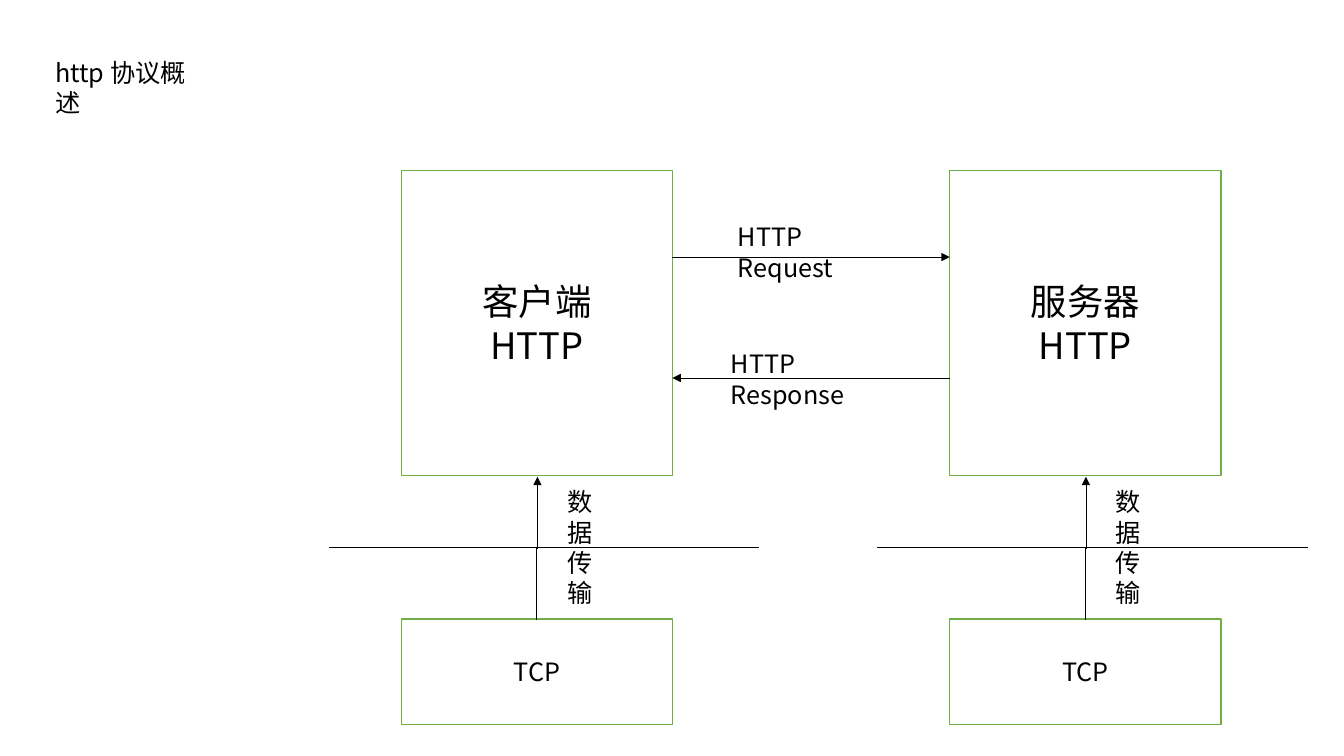
"""Build the HTTP protocol overview slide."""
from pptx import Presentation
from pptx.dml.color import RGBColor
from pptx.enum import shapes, text
from pptx.oxml import ns
from pptx.util import Inches, Pt
from lxml import etree

COLORS = {"ink": "000000", "fill": "FFFFFF", "border": "70AD47"}
FONT = "Noto Sans CJK SC"


class Deck:
    def __init__(self, prs):
        self.s = prs.slides.add_slide(prs.slide_layouts[6])

    def color(self, name):
        return RGBColor.from_string(COLORS[name])

    def set_text(self, tf, lines, size, align):
        tf.word_wrap = True
        tf.text = "\n".join(lines)
        for p in tf.paragraphs:
            p.alignment = align
            p.font.size = Pt(size)
            p.font.name = FONT
            p.font.color.rgb = self.color("ink")
            ea = etree.SubElement(p.font._element, ns.qn("a:ea"))
            ea.set("typeface", FONT)

    def label(self, words, x, y, w, h=0.4):
        sp = self.s.shapes.add_textbox(Inches(x), Inches(y), Inches(w), Inches(h))
        self.set_text(sp.text_frame, [words], 18, text.PP_ALIGN.LEFT)

    def box(self, lines, x, y, w, h, size):
        sp = self.s.shapes.add_shape(
            shapes.MSO_SHAPE.RECTANGLE, Inches(x), Inches(y), Inches(w), Inches(h))
        sp.shadow.inherit = False
        sp.fill.solid()
        sp.fill.fore_color.rgb = self.color("fill")
        sp.line.color.rgb = self.color("border")
        sp.line.width = Pt(1)
        sp.text_frame.vertical_anchor = text.MSO_ANCHOR.MIDDLE
        self.set_text(sp.text_frame, lines, size, text.PP_ALIGN.CENTER)

    def line(self, x1, y1, x2, y2, arrow=False, kind=shapes.MSO_CONNECTOR.STRAIGHT):
        c = self.s.shapes.add_connector(
            kind, Inches(x1), Inches(y1), Inches(x2), Inches(y2))
        c.line.color.rgb = self.color("ink")
        c.line.width = Pt(0.5)
        if arrow:
            tail = etree.SubElement(c.line._get_or_add_ln(), ns.qn("a:tailEnd"))
            tail.set("type", "triangle")
        etree.SubElement(c._element.spPr, ns.qn("a:effectLst"))
        return c

    def riser(self, x, y, length, jog=0.01):
        c = self.line(x + length / 2, y + jog / 2, x - length / 2, y - jog / 2,
                      True, shapes.MSO_CONNECTOR.ELBOW)
        c._element.spPr.find(ns.qn("a:xfrm")).set("rot", "5400000")

    def host(self, name, x, width=2.69):
        self.box([name, "HTTP"], x, 1.69, width, 3.03, 26)
        self.line(x - 0.72, 5.43, x + 3.55, 5.43)
        self.box(["TCP"], x, 6.14, width, 1.05, 18)
        self.label("数据传输", x + 1.55, 4.78, 0.47, 1.31)
        self.riser(x + width / 2, 5.44, 1.42)


prs = Presentation()
prs.slide_width, prs.slide_height = Inches(13.33), Inches(7.5)
deck = Deck(prs)
client, server, client_edge = 3.98, 9.42, 6.67
deck.label("http 协议概述", 0.45, 0.52, 1.73)
deck.host("客户端", client)
deck.host("服务器", server)
deck.line(server, 3.75, client_edge, 3.75, True)
deck.line(client_edge, 2.55, server, 2.55, True)
deck.label("HTTP Request", 7.22, 2.15, 1.72)
deck.label("HTTP Response", 7.15, 3.41, 1.89)
prs.save("out.pptx")
